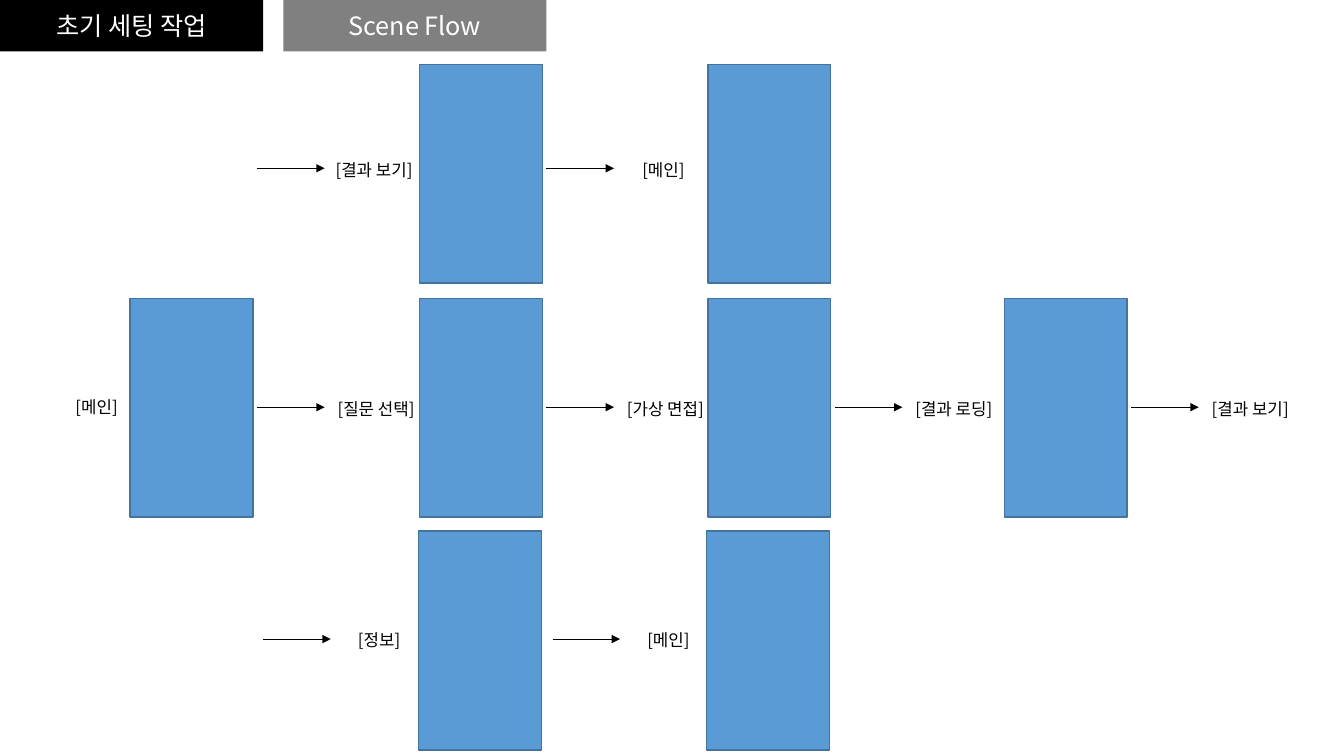
from lxml.etree import SubElement
from pptx import Presentation
from pptx.dml.color import RGBColor
from pptx.enum.shapes import MSO_CONNECTOR, MSO_SHAPE
from pptx.enum.text import MSO_ANCHOR, MSO_AUTO_SIZE, PP_ALIGN
from pptx.oxml.ns import qn
from pptx.util import Inches, Pt

# Content: each flow leaves the screen in the first column
TITLE = "초기 세팅 작업"
SUBTITLE = "Scene Flow"
START = "[메인]"
FLOWS = [
    {"labels": ["[결과 보기]", "[메인]"], "screens": [1, 2],
     "screen_top": 0.64, "arrow_y": 1.67, "label_top": 1.54,
     "screen_shift": 0, "arrow_gap": 1.26, "label_gap": 1.16},
    {"labels": ["[질문 선택]", "[가상 면접]", "[결과 로딩]", "[결과 보기]"],
     "screens": [0, 1, 2, 3],
     "screen_top": 2.96, "arrow_y": 4.04, "label_top": 3.91,
     "screen_shift": 0, "arrow_gap": 1.26, "label_gap": 1.18},
    {"labels": ["[정보]", "[메인]"], "screens": [1, 2],
     "screen_top": 5.27, "arrow_y": 6.34, "label_top": 6.2,
     "screen_shift": -0.01, "arrow_gap": 1.32, "label_gap": 1.15},
]

# Layout and style
COLUMNS = [1.29, 4.16, 7.02, 9.96]
SCREEN_WIDTH, SCREEN_HEIGHT = 1.22, 2.17
HEADER_WIDTH, HEADER_HEIGHT, HEADER_GAP = 2.61, 0.51, 0.2
ARROW_LENGTH = 0.67
LABEL_HEIGHT = 0.3
FONT = "Noto Sans CJK KR"
COLORS = {"black": "000000", "gray": "808080", "white": "FFFFFF",
          "screen": "5B9BD5", "border": "43739E"}


def color(name):
    return RGBColor.from_string(COLORS[name])


def write(shape, text, size, ink, align=PP_ALIGN.CENTER):
    para = shape.text_frame.paragraphs[0]
    para.alignment = align
    span = para.add_run()
    span.text = text
    for key, value in {"name": FONT, "size": Pt(size), "bold": False}.items():
        setattr(span.font, key, value)
    span.font.color.rgb = color(ink)
    # Korean glyphs take the East Asian typeface
    SubElement(span.font._element, qn("a:ea"), typeface=FONT)


def paint(shape, fill, border=None):
    shape.fill.solid()
    shape.fill.fore_color.rgb = color(fill)
    if border:
        shape.line.color.rgb = color(border)
        shape.line.width = Pt(1)
    else:
        shape.line.fill.background()


def add_box(left, top, width, height):
    box = page.shapes.add_shape(MSO_SHAPE.RECTANGLE, Inches(left), Inches(top),
                                Inches(width), Inches(height))
    box.shadow.inherit = False
    return box


def format_header(box, text, fill):
    paint(box, fill)
    frame = box.text_frame
    for key, value in {"vertical_anchor": MSO_ANCHOR.MIDDLE, "word_wrap": True,
                       "auto_size": MSO_AUTO_SIZE.NONE}.items():
        setattr(frame, key, value)
    write(box, text, 18, "white")


def add_label(text, center, top, align=PP_ALIGN.CENTER):
    width = 0.64 if len(text) == 4 else 0.98
    label = page.shapes.add_textbox(Inches(center - width / 2), Inches(top),
                                    Inches(width), Inches(LABEL_HEIGHT))
    label.text_frame.word_wrap = False
    label.text_frame.auto_size = MSO_AUTO_SIZE.SHAPE_TO_FIT_TEXT
    write(label, text, 12, "black", align)


def add_arrow(left, y):
    arrow = page.shapes.add_connector(MSO_CONNECTOR.STRAIGHT, Inches(left), Inches(y),
                                      Inches(left + ARROW_LENGTH), Inches(y))
    arrow.line.color.rgb = color("black")
    arrow.line.width = Pt(0.5)
    SubElement(arrow.line._get_or_add_ln(), qn("a:tailEnd"), type="triangle")
    SubElement(arrow._element.spPr, qn("a:effectLst"))


deck = Presentation()
deck.slide_width, deck.slide_height = Inches(13.33), Inches(7.5)
page = deck.slides.add_slide(deck.slide_layouts[5])

# Header tabs
title = page.shapes.title
for key, value in {"left": 0, "top": 0, "width": HEADER_WIDTH,
                   "height": HEADER_HEIGHT}.items():
    setattr(title, key, Inches(value))
format_header(title, TITLE, "black")
subtitle = add_box(HEADER_WIDTH + HEADER_GAP, 0, HEADER_WIDTH, HEADER_HEIGHT)
format_header(subtitle, SUBTITLE, "gray")

# Starting scene, left of the first screen
add_label(START, 0.97, 3.89, PP_ALIGN.LEFT)

# Screens, arrows and scene names of each flow
for flow in FLOWS:
    for column in flow["screens"]:
        screen = add_box(COLUMNS[column] + flow["screen_shift"], flow["screen_top"],
                         SCREEN_WIDTH, SCREEN_HEIGHT)
        paint(screen, "screen", "border")
    for column, text in zip(COLUMNS, flow["labels"]):
        arrow_left = column + flow["arrow_gap"]
        add_arrow(arrow_left, flow["arrow_y"])
        add_label(text, arrow_left + flow["label_gap"], flow["label_top"])

deck.save("out.pptx")
